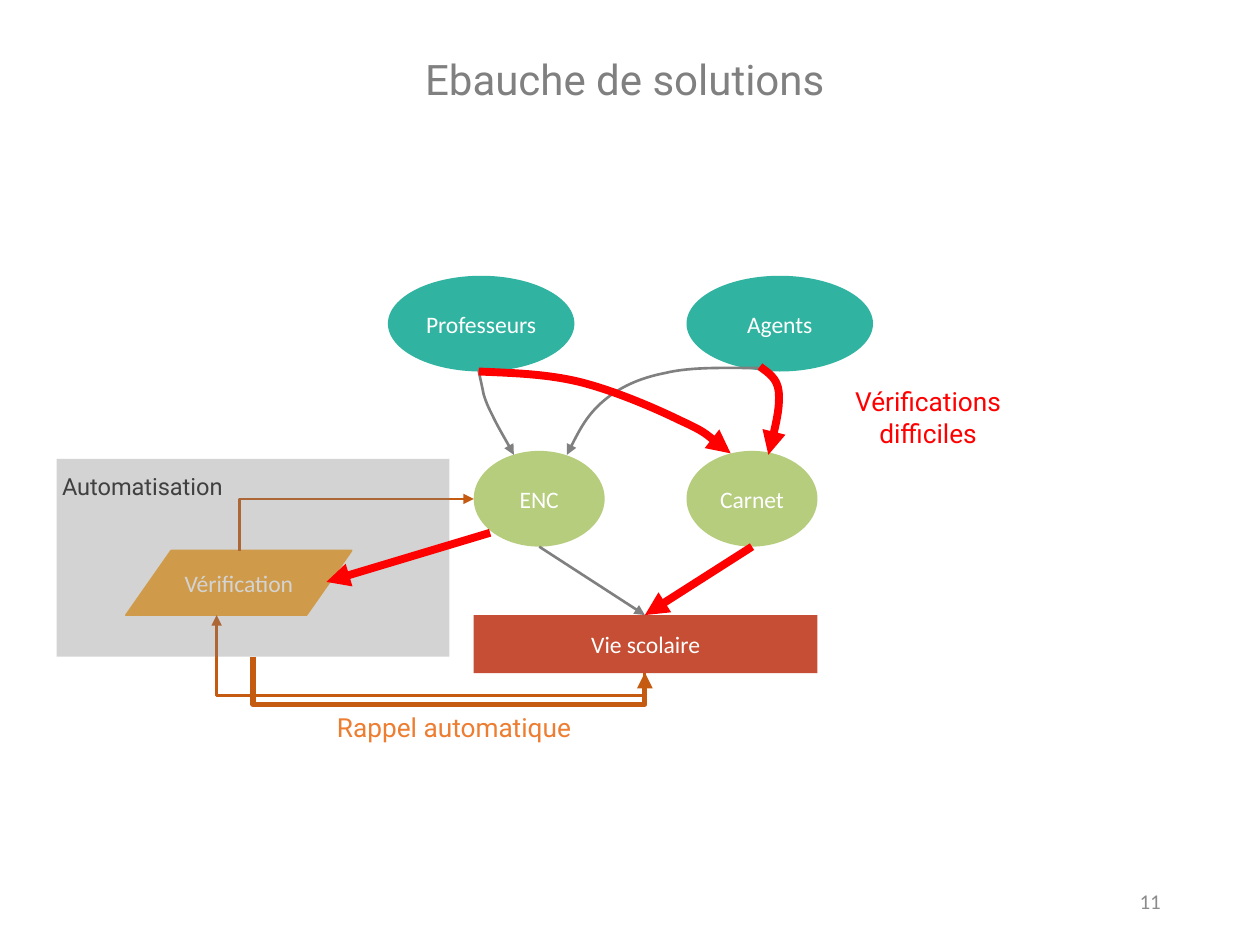
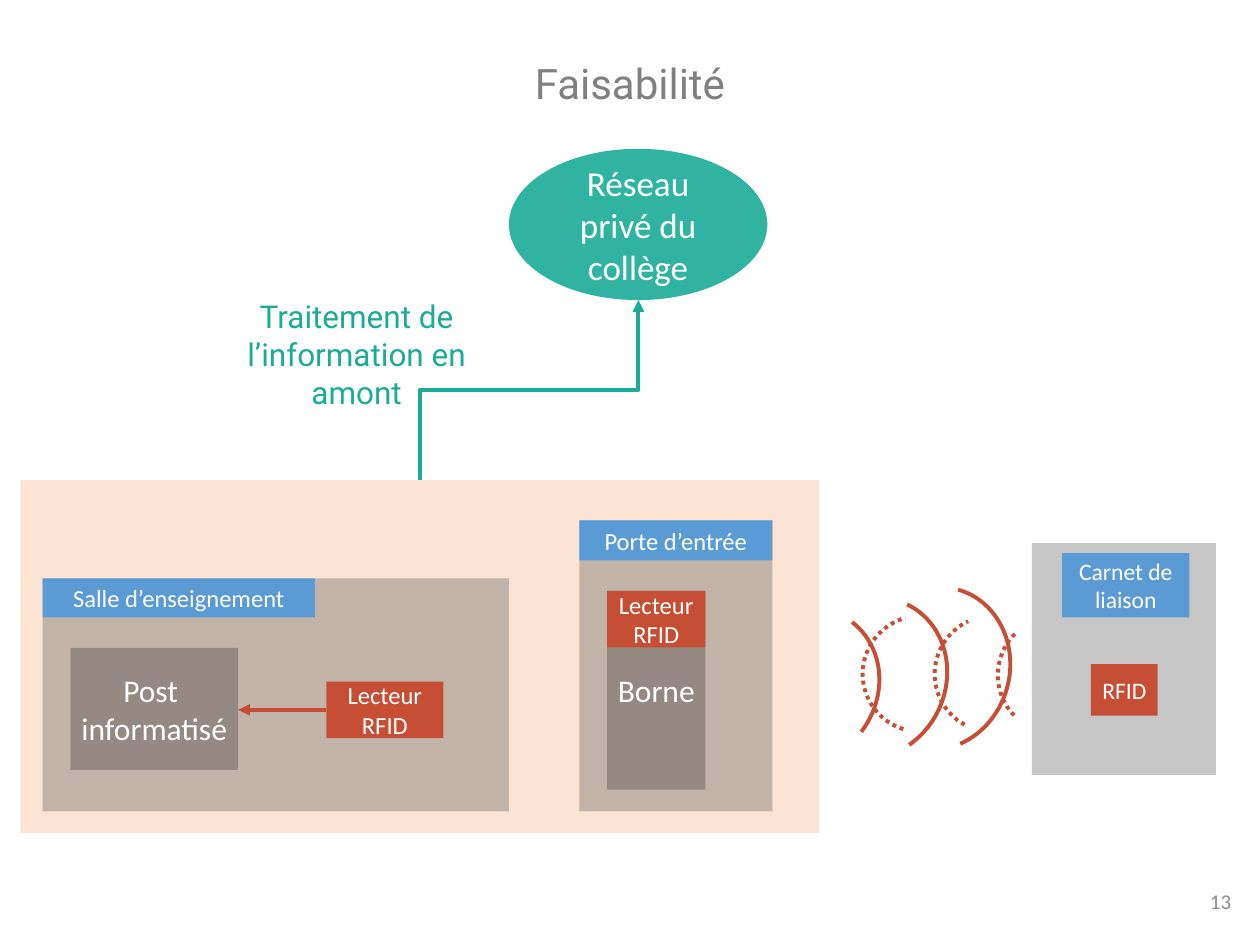
from dataclasses import dataclass

from lxml.etree import SubElement
from pptx import Presentation
from pptx.dml.color import RGBColor
from pptx.enum.dml import MSO_LINE
from pptx.enum.shapes import MSO_CONNECTOR as Link, MSO_SHAPE as Preset
from pptx.enum.text import MSO_ANCHOR, PP_ALIGN as Align
from pptx.oxml.ns import qn
from pptx.util import Cm, Pt


@dataclass(frozen=True)
class Theme:
    """Colours, fonts and type sizes of the deck."""
    heading_font: str = "Roboto"
    body_font: str = "Calibri"
    white: str = "FFFFFF"
    grey: str = "808080"
    number: str = "8C8C8C"
    dark: str = "404040"
    teal: str = "1AAC97"
    green: str = "AEC86F"
    brick: str = "C54E34"
    amber: str = "F9AA2F"
    rust: str = "C55A11"
    orange: str = "ED7D31"
    peach: str = "F4B183"
    red: str = "FF0000"
    blue: str = "5B9BD5"
    room: str = "595959"
    device: str = "3B3838"
    title_size: float = 24
    network_size: float = 20
    large_size: float = 18
    note_size: float = 15
    tag_size: float = 14
    node_size: float = 13.5
    number_size: float = 12
    veil: int = 34
    soft: int = 90
    thin: float = 1.5
    medium: float = 2.25
    thick: float = 3
    heavy: float = 4.5


@dataclass(frozen=True)
class Box:
    """A rectangle in centimetres."""
    x: float
    y: float
    w: float
    h: float

    def inside(self, x, y, w, h):
        """Return a box placed relative to this one."""
        return Box(self.x + x, self.y + y, w, h)

    def point(self, x, y):
        """Return a point placed relative to this box."""
        return self.x + x, self.y + y

    def emu(self):
        """Return left, top, width and height as lengths."""
        return Cm(self.x), Cm(self.y), Cm(self.w), Cm(self.h)


THEME = Theme()


def write(shape, text, size=THEME.node_size, color=THEME.white, font=THEME.body_font,
          align=Align.CENTER, inset=(0.18, 0.1), spacing=None):
    """Fill a shape with formatted text, one paragraph per line."""
    frame = shape.text_frame
    frame.word_wrap = True
    frame.vertical_anchor = MSO_ANCHOR.MIDDLE
    frame.margin_left = frame.margin_right = Cm(inset[0])
    frame.margin_top = frame.margin_bottom = Cm(inset[1])
    frame.text = text
    for paragraph in frame.paragraphs:
        paragraph.alignment = align
        paragraph.line_spacing = spacing
        for run in paragraph.runs:
            run.font.size = Pt(size)
            run.font.name = font
            run.font.color.rgb = RGBColor.from_string(color)


def label(slide, box, text, **style):
    """Add free text in a box."""
    write(slide.shapes.add_textbox(*box.emu()), text, **style)


def block(slide, box, fill, text=None, preset=Preset.RECTANGLE, alpha=None, outline=None, **style):
    """Add a filled preset shape, with text if given."""
    shape = slide.shapes.add_shape(preset, *box.emu())
    shape.shadow.inherit = False
    shape.fill.solid()
    shape.fill.fore_color.rgb = RGBColor.from_string(fill)
    if alpha:
        tint = shape._element.spPr.find(qn("a:solidFill"))[0]
        SubElement(tint, qn("a:alpha"), val=str(alpha * 1000))
    if outline:
        stroke(shape, outline, 1)
    else:
        shape.line.fill.background()
    if text:
        write(shape, text, **style)


def stroke(shape, color, width, arrow=False):
    """Set the line of a shape or connector."""
    shape.line.color.rgb = RGBColor.from_string(color)
    shape.line.width = Pt(width)
    if arrow:
        SubElement(shape._element.spPr.find(qn("a:ln")), qn("a:tailEnd"), type="triangle")


def connect(slide, start, end, color, width, kind=Link.STRAIGHT):
    """Add a connector that ends in an arrowhead."""
    link = slide.shapes.add_connector(kind, *map(Cm, start + end))
    stroke(link, color, width, arrow=True)
    SubElement(link._element.spPr, qn("a:effectLst"))
    return link


def elbow(slide, start, end, color, width, via=None):
    """Add an elbow that leaves vertically, turning at height via or once only."""
    (x1, y1), (x2, y2) = start, end
    mid_x, mid_y = (x1 + x2) / 2, (y1 + y2) / 2
    dx, dy = (y1 - y2) / 2, (x2 - x1) / 2
    link = connect(slide, (mid_x + dx, mid_y + dy), (mid_x - dx, mid_y - dy), color, width, Link.ELBOW)
    properties = link._element.spPr
    properties.find(qn("a:xfrm")).set("rot", "5400000")
    geometry = properties.find(qn("a:prstGeom"))
    if via is None:
        geometry.set("prst", "bentConnector2")
    else:
        turn = round((via - y1) / (y2 - y1) * 100000)
        SubElement(geometry.find(qn("a:avLst")), qn("a:gd"), name="adj1", fmla=f"val {turn}")


def curve(slide, box, points, color, width):
    """Add an arrowed chain of cubic curves through start, controls and ends."""
    start, *rest = [tuple(map(Cm, box.point(*point))) for point in points]
    builder = slide.shapes.build_freeform(*start, scale=1.0)
    shape = builder.add_line_segments(rest, close=False).convert_to_shape()
    shape.shadow.inherit = False
    shape.fill.background()
    stroke(shape, color, width, arrow=True)
    outline = next(shape._element.iter(qn("a:path")))
    segments = outline.findall(qn("a:lnTo"))
    for first in range(0, len(segments), 3):
        cubic = SubElement(outline, qn("a:cubicBezTo"))
        for segment in segments[first:first + 3]:
            cubic.append(segment[0])
            outline.remove(segment)


def wave(slide, box, rotation, start, dotted):
    """Add one radio wave arc, solid ones mirrored."""
    arc = slide.shapes.add_shape(Preset.ARC, *box.emu())
    arc.shadow.inherit = False
    arc.fill.background()
    arc.rotation = rotation
    arc.adjustments[0] = start
    stroke(arc, THEME.brick, THEME.medium)
    if dotted:
        arc.line.dash_style = MSO_LINE.ROUND_DOT
    else:
        arc._element.spPr.find(qn("a:xfrm")).set("flipH", "1")


def titled_slide(deck, title, title_top, number, number_left):
    """Add a slide with its title and page number."""
    slide = deck.slides.add_slide(deck.slide_layouts[5])
    heading = slide.shapes.title
    heading.left, heading.top, heading.width, heading.height = Box(1.75, title_top, 21.9, 1.83).emu()
    write(heading, title, size=THEME.title_size, color=THEME.grey, font=THEME.heading_font,
          inset=(0.25, 0.13), spacing=0.9)
    label(slide, Box(number_left, 17.65, 5.72, 1.02), number, size=THEME.number_size,
          color=THEME.number, align=Align.RIGHT, inset=(0.25, 0.13))
    return slide


def information_flow(slide, box):
    """Draw the people, their tools and the school office."""
    actor_size, tool_size = (3.76, 1.93), (2.64, 1.93)
    for name, x, y, size, fill in (
            ("Carnet", 6.02, 3.53, tool_size, THEME.green),
            ("ENC", 1.73, 3.53, tool_size, THEME.green),
            ("Professeurs", 0, 0, actor_size, THEME.teal),
            ("Agents", 6.02, 0, actor_size, THEME.teal)):
        block(slide, box.inside(x, y, *size), fill, name, preset=Preset.OVAL, alpha=THEME.soft)
    block(slide, box.inside(1.73, 6.84, 6.93, 1.17), THEME.brick, "Vie scolaire")

    teachers_to_enc = [(1.83, 1.91), (1.86, 2.07), (1.9, 2.23), (1.93, 2.39), (1.98, 2.55),
                       (2.01, 2.62), (2.11, 2.82), (2.21, 3.03), (2.39, 3.33), (2.54, 3.61)]
    agents_to_enc = [(7.52, 1.86), (6.84, 1.86), (6.12, 1.83), (5.59, 1.96), (5.08, 2.06),
                     (4.68, 2.24), (4.35, 2.52), (4.02, 2.8), (3.81, 3.2), (3.61, 3.61)]
    teachers_to_carnet = [(1.83, 1.93), (2.52, 1.96), (3.2, 1.98), (3.86, 2.14), (4.55, 2.31),
                          (5.39, 2.67), (5.9, 2.92), (6.4, 3.15), (6.66, 3.38), (6.91, 3.58)]
    agents_to_carnet = [(7.5, 1.83), (7.67, 1.96), (7.85, 2.06), (7.88, 2.34), (7.9, 2.64),
                        (7.8, 3.13), (7.67, 3.61)]
    for usual in (teachers_to_enc, agents_to_enc):
        curve(slide, box, usual, THEME.grey, THEME.thin)
    for difficult in (teachers_to_carnet, agents_to_carnet):
        curve(slide, box, difficult, THEME.red, THEME.heavy)
    office = box.point(5.18, 6.84)
    connect(slide, box.point(3.05, 5.46), office, THEME.grey, THEME.thin)
    connect(slide, box.point(7.34, 5.46), office, THEME.red, THEME.heavy)
    label(slide, box.inside(8.39, 2.34, 5, 1.02), "Vérifications difficiles",
          size=THEME.note_size, color=THEME.red, font=THEME.heading_font)


def automation(slide, box):
    """Draw the automated check and its reminder to the office."""
    office = box.point(11.86, 4.31)
    block(slide, box.inside(1.4, 1.85, 4.55, 1.3), THEME.amber, "Vérification",
          preset=Preset.FLOWCHART_DATA, outline=THEME.amber)
    elbow(slide, office, box.point(3.23, 3.15), THEME.rust, THEME.thin, via=box.y + 4.77)
    elbow(slide, box.point(3.69, 1.85), box.point(8.41, 0.81), THEME.rust, THEME.thin)
    block(slide, box, THEME.grey, alpha=THEME.veil)
    label(slide, box.inside(-0.25, 0.05, 3.96, 0.99), "Automatisation",
          color=THEME.dark, font=THEME.heading_font)
    elbow(slide, box.point(box.w / 2, box.h), office, THEME.rust, THEME.thick, via=box.y + 4.95)
    label(slide, box.inside(4.32, 4.75, 7.39, 1.32), "Rappel automatique",
          size=THEME.note_size, color=THEME.orange, font=THEME.heading_font)
    connect(slide, box.point(8.74, 1.49), box.point(5.44, 2.48), THEME.red, THEME.heavy)


def place(slide, box, name, name_box, size=THEME.tag_size):
    """Draw a veiled place with its name tag."""
    block(slide, box, THEME.room, alpha=THEME.veil)
    block(slide, box.inside(*name_box), THEME.blue, name, size=size)


def reader(slide, box):
    """Draw an RFID reader."""
    block(slide, box, THEME.brick, "Lecteur RFID", size=THEME.tag_size)


def device(slide, box, name):
    """Draw a piece of equipment."""
    block(slide, box, THEME.device, name, alpha=THEME.veil, size=THEME.large_size)


def classroom(slide, box):
    """Draw the classroom with its computer and reader."""
    place(slide, box, "Salle d’enseignement", (0, 0, 5.49, 0.79))
    device(slide, box.inside(0.56, 1.4, 3.38, 2.46), "Post \ninformatisé")
    reader(slide, box.inside(5.72, 2.08, 2.36, 1.14))
    connect(slide, box.point(5.72, 2.65), box.point(3.94, 2.65), THEME.brick, THEME.medium)


def entrance(slide, box):
    """Draw the entrance with its terminal."""
    place(slide, box, "Porte d’entrée", (0, 0, box.w, 0.81))
    device(slide, box.inside(0.56, 1.42, 1.98, 4.01), "Borne")
    reader(slide, box.inside(0.56, 1.42, 1.98, 1.14))


def notebook(slide, box):
    """Draw the liaison notebook with its tag."""
    place(slide, box, "Carnet de liaison", (0.61, 0.2, 2.57, 1.3), size=THEME.node_size)
    block(slide, box.inside(1.19, 2.44, 1.35, 1.04), THEME.brick, "RFID")


def radio_waves(slide, box):
    """Draw the waves sent by the readers and answered by the tag."""
    for x, y, rotation, start in ((0, 0.38, 127.2, 162), (1.4, 0.2, 115.4, 140.77),
                                  (2.69, 0, 105.7, 128.12)):
        wave(slide, box.inside(x, y, 3.3, 2.97), rotation, start, dotted=False)
    for x, y, rotation, start in ((5.59, 0.43, 226, 162), (4.32, 0.41, 244.6, 140.77),
                                  (2.87, 0.41, 254.3, 128.12)):
        wave(slide, box.inside(x, y, 2.34, 2.36), rotation, start, dotted=True)


def network(slide, box):
    """Draw the school network and the link that feeds it."""
    block(slide, box.inside(5.79, 0, 5.21, 3.05), THEME.teal, "Réseau privé du collège",
          preset=Preset.OVAL, alpha=THEME.soft, size=THEME.network_size)
    elbow(slide, box.point(3.99, box.h), box.point(8.4, 3.05), THEME.teal, THEME.medium,
          via=box.y + 4.87)
    label(slide, box.inside(0, 3.12, 5.44, 2.03), "Traitement de l’information en amont",
          size=THEME.large_size, color=THEME.teal, font=THEME.heading_font, inset=(0.25, 0.13))


def build():
    """Build and save the deck."""
    deck = Presentation()
    deck.slide_width, deck.slide_height = Cm(25.4), Cm(19.05)

    solutions = titled_slide(deck, "Ebauche de solutions ", 0.74, "11", 17.93)
    information_flow(solutions, Box(7.82, 5.56, 9.78, 8.01))
    automation(solutions, Box(1.14, 9.25, 7.92, 3.99))

    feasibility = titled_slide(deck, "Faisabilité", 0.81, "13", 19.35)
    block(feasibility, Box(0.41, 9.68, 16.1, 7.11), THEME.peach, alpha=THEME.veil)
    notebook(feasibility, Box(20.8, 10.95, 3.71, 4.67))
    classroom(feasibility, Box(0.86, 11.66, 9.4, 4.7))
    entrance(feasibility, Box(11.68, 10.49, 3.89, 5.87))
    radio_waves(feasibility, Box(14.53, 11.99, 7.93, 3.35))
    network(feasibility, Box(4.47, 3, 11, 6.68))
    deck.save("out.pptx")


build()
